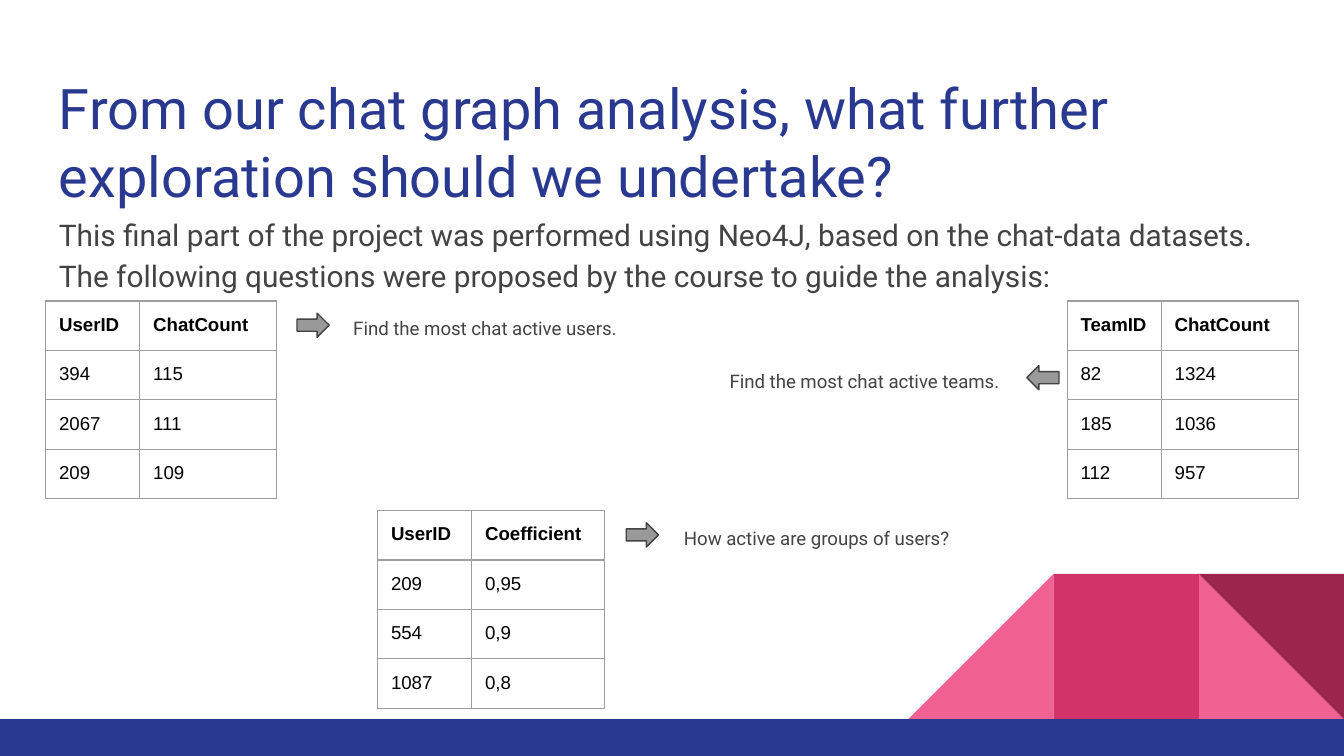
from lxml import etree
from pptx import Presentation
from pptx.dml.color import RGBColor
from pptx.enum.shapes import MSO_SHAPE
from pptx.oxml.ns import qn
from pptx.util import Inches, Pt

RECTANGLE = MSO_SHAPE.RECTANGLE
TRIANGLE = MSO_SHAPE.RIGHT_TRIANGLE
ARROW = MSO_SHAPE.RIGHT_ARROW

THEME = {
    "navy": "2A3990", "pink": "F06292", "rose": "D23369", "wine": "9C254D",
    "text": "434343", "black": "000000", "arrow": "999999", "border": "9E9E9E",
    "font": "Roboto", "table_font": "Arial",
    "title_size": 30, "body_size": 16, "small_size": 10,
}

TITLE = "From our chat graph analysis, what further exploration should we undertake?"
INTRO = ("This final part of the project was performed using Neo4J, based on the "
         "chat-data datasets. The following questions were proposed by the course "
         "to guide the analysis:")

# Each finding: table position, column widths, rows, question box, arrow position
FINDINGS = [
    {"table": (2.81, 3.8), "columns": (0.7, 0.99), "row_height": 0.17,
     "rows": [("UserID", "Coefficient"), ("209", "0,95"), ("554", "0,9"), ("1087", "0,8")],
     "question": "How active are groups of users?", "box": (4.99, 3.8, 2.21, 0.37),
     "arrow": (4.66, 3.89), "turn": 0},
    {"table": (0.34, 2.24), "columns": (0.7, 1.02), "row_height": 0.23,
     "rows": [("UserID", "ChatCount"), ("394", "115"), ("2067", "111"), ("209", "109")],
     "question": "Find the most chat active users.", "box": (2.53, 2.24, 2.21, 0.37),
     "arrow": (2.21, 2.33), "turn": 0},
    {"table": (7.94, 2.24), "columns": (0.7, 1.02), "row_height": 0.23,
     "rows": [("TeamID", "ChatCount"), ("82", "1324"), ("185", "1036"), ("112", "957")],
     "question": "Find the most chat active teams.", "box": (5.33, 2.63, 2.25, 0.37),
     "arrow": (7.64, 2.72), "turn": 180},
]

WIDTH = 10
HEIGHT = WIDTH * 9 / 16
TILE = 1.08
FLOOR = 5.35
MARGIN = Inches(0.1)


def color(name):
    return RGBColor.from_string(THEME[name])


def set_margins(target):
    target.margin_left = target.margin_right = MARGIN
    target.margin_top = target.margin_bottom = MARGIN


def style_font(para, size, tint, font="font", bold=False):
    for span in para.runs:
        span.font.name = THEME[font]
        span.font.size = Pt(THEME[size])
        span.font.color.rgb = color(tint)
        span.font.bold = bold


def add_block(page, kind, left, top, width, height, fill):
    shape = page.shapes.add_shape(
        kind, Inches(left), Inches(top), Inches(width), Inches(height))
    shape.shadow.inherit = False
    shape.fill.solid()
    shape.fill.fore_color.rgb = color(fill)
    shape.line.fill.background()
    return shape


def add_text(page, text, left, top, width, height, size, tint, spacing=None):
    box = page.shapes.add_textbox(
        Inches(left), Inches(top), Inches(width), Inches(height))
    frame = box.text_frame
    frame.word_wrap = True
    set_margins(frame)
    frame.text = text
    para = frame.paragraphs[0]
    if spacing:
        para.line_spacing = spacing
    style_font(para, size, tint)


def add_borders(cell):
    """Draw the four thin cell edges, placed before the cell fill."""
    properties = cell._tc.get_or_add_tcPr()
    for index, side in enumerate(("a:lnL", "a:lnR", "a:lnT", "a:lnB")):
        edge = etree.Element(qn(side), w=str(Pt(0.75)))
        fill = etree.SubElement(edge, qn("a:solidFill"))
        etree.SubElement(fill, qn("a:srgbClr"), val=THEME["border"])
        properties.insert(index, edge)


def add_data_table(page, rows, columns, row_height, left, top):
    """Add a table whose rows grow from a minimum height to fit their text."""
    frame = page.shapes.add_table(
        len(rows), len(columns), Inches(left), Inches(top),
        Inches(sum(columns)), Inches(row_height * len(rows)))
    table = frame.table
    table.horz_banding = False
    for column, width in zip(table.columns, columns):
        column.width = Inches(width)
    for row_index, values in enumerate(rows):
        for column_index, value in enumerate(values):
            cell = table.cell(row_index, column_index)
            cell.text = value
            cell.fill.background()
            set_margins(cell)
            add_borders(cell)
            style_font(cell.text_frame.paragraphs[0], "small_size", "black",
                       "table_font", bold=row_index == 0)


def add_arrow(page, left, top, turn):
    arrow = add_block(page, ARROW, left, top, 0.24, 0.18, "arrow")
    arrow.rotation = turn
    arrow.line.color.rgb = color("text")
    arrow.line.width = Pt(0.75)


def add_decoration(page):
    top = FLOOR - TILE
    right, middle, left = (WIDTH - TILE * count for count in (1, 2, 3))
    add_block(page, TRIANGLE, right, top, TILE, TILE, "pink")
    slope = add_block(page, TRIANGLE, left, top, TILE, TILE, "pink")
    slope._element.spPr.get_or_add_xfrm().set("flipH", "1")
    add_block(page, RECTANGLE, middle, top, TILE, TILE, "rose")
    corner = add_block(page, TRIANGLE, right, top, TILE, TILE, "wine")
    corner.rotation = 180
    add_block(page, RECTANGLE, 0, FLOOR, WIDTH, HEIGHT - FLOOR, "navy")


def main():
    deck = Presentation()
    deck.slide_width, deck.slide_height = Inches(WIDTH), Inches(HEIGHT)
    page = deck.slides.add_slide(deck.slide_layouts[6])
    add_decoration(page)
    add_text(page, TITLE, 0.34, 0.45, 9.32, 0.66, "title_size", "navy")
    add_text(page, INTRO, 0.34, 1.47, 9.32, 3.53, "body_size", "text", 1.15)
    for finding in FINDINGS:
        add_data_table(page, finding["rows"], finding["columns"],
                       finding["row_height"], *finding["table"])
        add_text(page, finding["question"], *finding["box"],
                 "small_size", "text", 1.15)
        add_arrow(page, *finding["arrow"], finding["turn"])
    deck.save("out.pptx")


if __name__ == "__main__":
    main()
